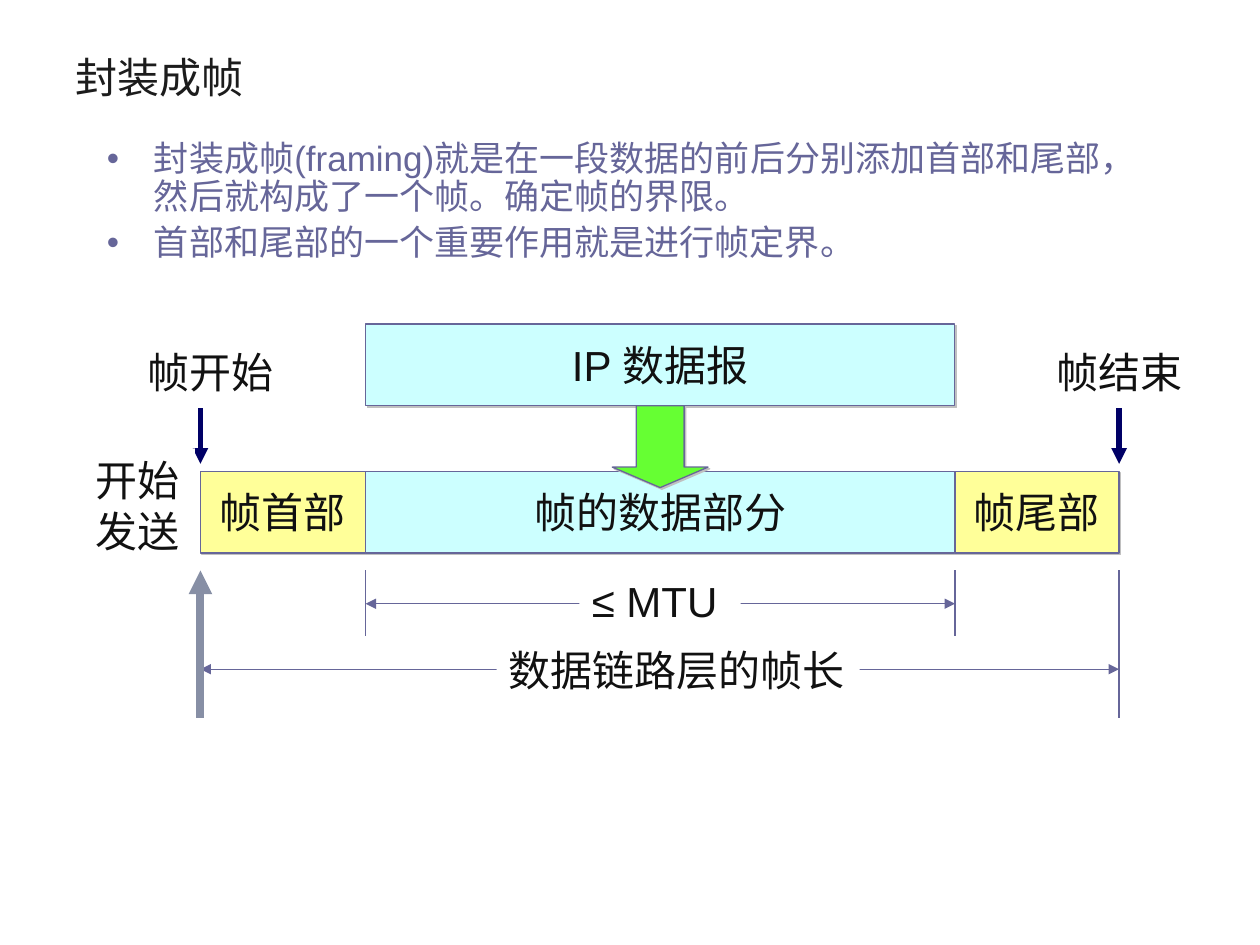
"""Build a slide that explains how a datagram is framed at the data link layer."""
from lxml import etree
from pptx import Presentation
from pptx.dml.color import RGBColor
from pptx.enum.shapes import MSO_CONNECTOR, MSO_SHAPE
from pptx.enum.text import MSO_ANCHOR, MSO_AUTO_SIZE, PP_ALIGN
from pptx.oxml.ns import qn
from pptx.util import Cm, Pt

RECTANGLE, DOWN_ARROW = MSO_SHAPE.RECTANGLE, MSO_SHAPE.DOWN_ARROW
STRAIGHT = MSO_CONNECTOR.STRAIGHT
LEFT, CENTER = PP_ALIGN.LEFT, PP_ALIGN.CENTER
TOP, MIDDLE = MSO_ANCHOR.TOP, MSO_ANCHOR.MIDDLE
NO_FIT, GROW = MSO_AUTO_SIZE.NONE, MSO_AUTO_SIZE.SHAPE_TO_FIT_TEXT

LATIN, CJK = "Arial", "Noto Sans CJK SC"
WHITE = RGBColor(0xFF, 0xFF, 0xFF)
TITLE_INK = RGBColor(0x1C, 0x1C, 0x1C)
INK = RGBColor(0x11, 0x11, 0x11)
PURPLE = RGBColor(0x66, 0x66, 0x99)
YELLOW = RGBColor(0xFF, 0xFF, 0x99)
CYAN = RGBColor(0xCC, 0xFF, 0xFF)
GREEN = RGBColor(0x66, 0xFF, 0x33)
GREY = RGBColor(0x87, 0x8F, 0xA5)
NAVY = RGBColor(0x00, 0x00, 0x66)
SHADOW = RGBColor(0xC0, 0xC0, 0xC0)

TITLE = "封装成帧"
POINTS = [
    "封装成帧(framing)就是在一段数据的前后分别添加首部和尾部，然后就构成了一个帧。确定帧的界限。",
    "首部和尾部的一个重要作用就是进行帧定界。",
]

FRAME_LEFT, DATA_LEFT, DATA_RIGHT, FRAME_RIGHT = 4.04, 7.37, 19.25, 22.56
PACKET_TOP, FRAME_TOP, BOX_HEIGHT = 6.53, 9.5, 1.65
GUIDE_TOP, DATA_GUIDE_END, FRAME_GUIDE_END = 11.5, 12.83, 14.48
MTU_Y, LENGTH_Y = 12.17, 13.49
MARK_START, MARK_END = 8.23, 9.35
ARROW_WIDTH = 1.93

BOXES = [
    ("帧首部", FRAME_LEFT, DATA_LEFT, FRAME_TOP, YELLOW),
    ("IP 数据报", DATA_LEFT, DATA_RIGHT, PACKET_TOP, CYAN),
    ("帧的数据部分", DATA_LEFT, DATA_RIGHT, FRAME_TOP, CYAN),
    ("帧尾部", DATA_RIGHT, FRAME_RIGHT, FRAME_TOP, YELLOW),
]
LINES = [
    (DATA_LEFT, MTU_Y, DATA_RIGHT, MTU_Y, PURPLE, 0.75, ("head", "tail")),
    (FRAME_LEFT, LENGTH_Y, FRAME_RIGHT, LENGTH_Y, PURPLE, 0.75, ("head", "tail")),
    (FRAME_LEFT, GUIDE_TOP, FRAME_LEFT, FRAME_GUIDE_END, GREY, 4.5, ("head",)),
    (FRAME_RIGHT, GUIDE_TOP, FRAME_RIGHT, FRAME_GUIDE_END, PURPLE, 0.75, ()),
    (DATA_LEFT, GUIDE_TOP, DATA_LEFT, DATA_GUIDE_END, PURPLE, 0.75, ()),
    (DATA_RIGHT, GUIDE_TOP, DATA_RIGHT, DATA_GUIDE_END, PURPLE, 0.75, ()),
    (FRAME_LEFT, MARK_END, FRAME_LEFT, MARK_START, NAVY, 3, ("head",)),
    (FRAME_RIGHT, MARK_END, FRAME_RIGHT, MARK_START, NAVY, 3, ("head",)),
]
LABELS = [
    (["帧开始"], 2.72, 6.87, 3.1, 1.27),
    (["帧结束"], 21.04, 6.87, 3.1, 1.27),
    (["≤ MTU"], 11.68, 11.48, 3.25, 1.27),
    (["数据链路层的帧长"], 10.01, 12.87, 7.32, 1.27),
    (["开始", "发送"], 1.68, 9.04, 2.25, 2.29),
]


def write(shape, texts, size=24, color=INK, latin=LATIN, align=LEFT,
          anchor=TOP, wrap=False, fit=NO_FIT):
    frame = shape.text_frame
    frame.word_wrap, frame.auto_size, frame.vertical_anchor = wrap, fit, anchor
    for index, text in enumerate(texts):
        paragraph = frame.add_paragraph() if index else frame.paragraphs[0]
        paragraph.alignment = align
        run = paragraph.add_run()
        run.text = text
        run.font.size, run.font.name = Pt(size), latin
        run.font.color.rgb = color
        east_asian = etree.SubElement(run.font._element, qn("a:ea"))
        east_asian.set("typeface", CJK)
    return frame.paragraphs


def add_bullet(paragraph, index):
    paragraph.line_spacing = 0.9
    paragraph.space_before = Pt(5 if index else 0)
    properties = paragraph._p.get_or_add_pPr()
    properties.set("marL", str(Cm(0.95)))
    properties.set("indent", str(-Cm(0.95)))
    bullet_color = etree.SubElement(properties, qn("a:buClr"))
    etree.SubElement(bullet_color, qn("a:srgbClr")).set("val", str(PURPLE))
    etree.SubElement(properties, qn("a:buChar")).set("char", "•")


def place(shape, left, top, width, height):
    shape.left, shape.top = Cm(left), Cm(top)
    shape.width, shape.height = Cm(width), Cm(height)


def add_filled(shapes, kind, left, top, width, height, color):
    filled = shapes.add_shape(kind, Cm(left), Cm(top), Cm(width), Cm(height))
    filled.fill.solid()
    filled.fill.fore_color.rgb = color
    filled.line.fill.background()
    filled.shadow.inherit = False
    return filled


def add_block(shapes, kind, left, top, width, color):
    block = add_filled(shapes, kind, left, top, width, BOX_HEIGHT, color)
    block.line.color.rgb = PURPLE
    block.line.width = Pt(0.75)
    effects = block._element.spPr.find(qn("a:effectLst"))
    shadow = etree.SubElement(effects, qn("a:outerShdw"), dist=str(Pt(1.4)),
                              dir="2700000", algn="ctr", rotWithShape="0")
    etree.SubElement(shadow, qn("a:srgbClr")).set("val", str(SHADOW))
    return block


def add_line(shapes, x1, y1, x2, y2, color, width, arrows):
    connector = shapes.add_connector(STRAIGHT, Cm(x1), Cm(y1), Cm(x2), Cm(y2))
    connector.line.color.rgb = color
    connector.line.width = Pt(width)
    outline = connector.line._get_or_add_ln()
    for end in arrows:
        etree.SubElement(outline, qn(f"a:{end}End")).set("type", "triangle")
    etree.SubElement(connector._element.spPr, qn("a:effectLst"))


def main():
    presentation = Presentation()
    presentation.slide_width, presentation.slide_height = Cm(25.4), Cm(19.05)
    slide = presentation.slides.add_slide(presentation.slide_layouts[1])
    shapes = slide.shapes

    title, body = slide.placeholders
    place(title, 1.27, 0.78, 22.86, 1.55)
    write(title, [TITLE], color=TITLE_INK, latin=CJK, anchor=MIDDLE, wrap=True)
    place(body, 1.9, 2.72, 21.6, 11.43)
    points = write(body, POINTS, size=20, color=PURPLE, wrap=True)
    for index, point in enumerate(points):
        add_bullet(point, index)

    for text, left, right, top, color in BOXES:
        block = add_block(shapes, RECTANGLE, left, top, right - left, color)
        write(block, [text], align=CENTER, anchor=MIDDLE)
    for line in LINES:
        add_line(shapes, *line)
    for texts, left, top, width, height in LABELS:
        label = add_filled(shapes, RECTANGLE, left, top, width, height, WHITE)
        write(label, texts, fit=GROW)

    arrow_left = (DATA_LEFT + DATA_RIGHT - ARROW_WIDTH) / 2
    arrow = add_block(shapes, DOWN_ARROW, arrow_left, PACKET_TOP + BOX_HEIGHT,
                      ARROW_WIDTH, GREEN)
    arrow.adjustments[0], arrow.adjustments[1] = 0.5, 0.25
    presentation.save("out.pptx")


if __name__ == "__main__":
    main()
